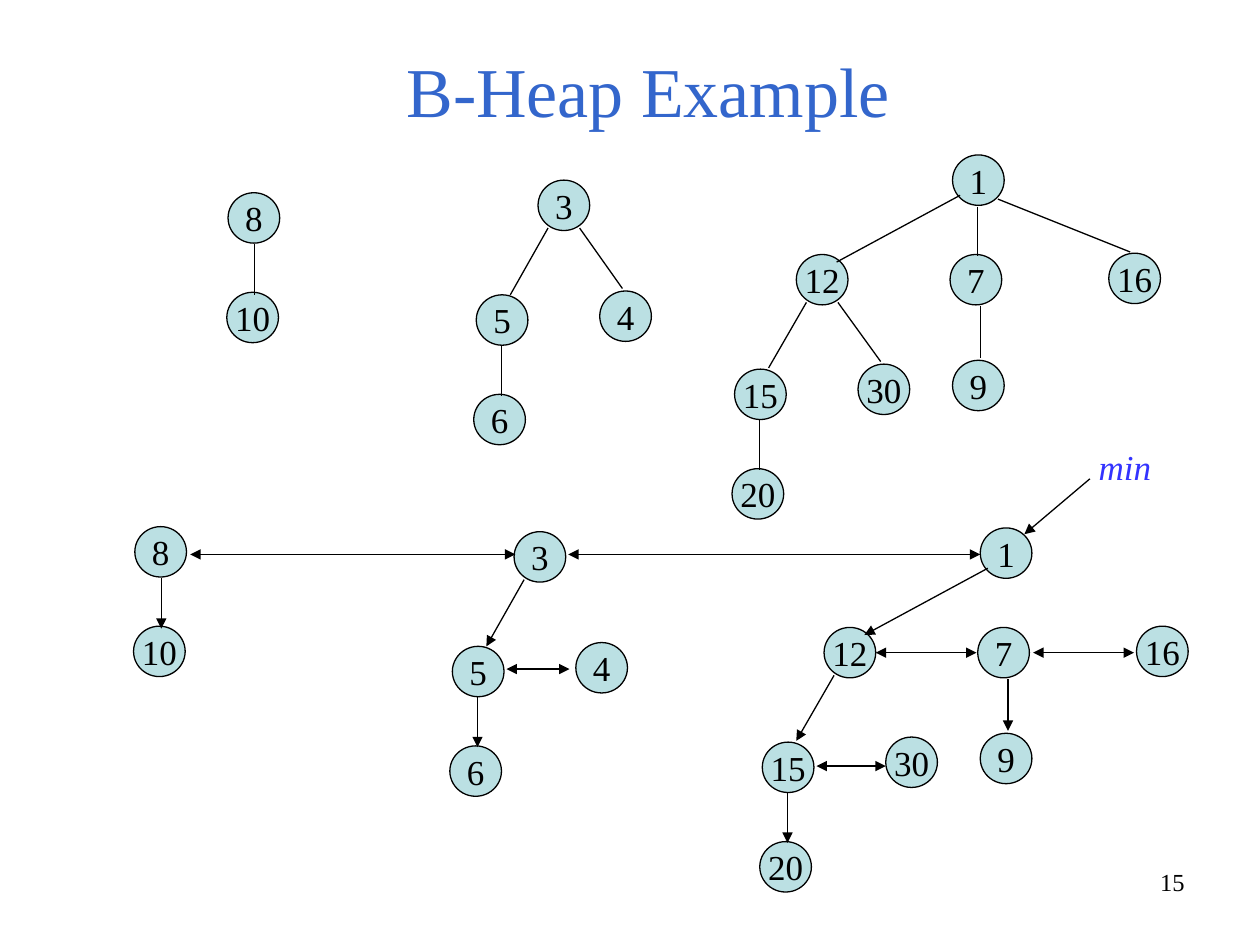
import pptx
import pptx.dml.color
import pptx.enum.shapes
import pptx.enum.text
import pptx.oxml
import pptx.oxml.ns
import pptx.util

Inches = pptx.util.Inches
Align = pptx.enum.text.PP_ALIGN
Anchor = pptx.enum.text.MSO_ANCHOR

FONT = "Times New Roman"
BLACK = "000000"
NODE_FILL = "BBE0E3"
NODE_WIDTH, NODE_HEIGHT = 0.41, 0.4

TREES = [
    {
        "linked_shift": (-0.74, 2.65),
        "nodes": [("8", 1.81, 1.53), ("10", 1.8, 2.32)],
        "first_child": [(2.02, 1.94, 2.02, 2.34)],
        "other_children": [],
    },
    {
        "linked_shift": (-0.19, 2.79),
        "nodes": [("3", 4.27, 1.43), ("5", 3.78, 2.34), ("6", 3.76, 3.13), ("4", 4.76, 2.31)],
        "first_child": [(3.98, 2.74, 3.98, 3.14), (4.35, 1.81, 4.05, 2.34)],
        "other_children": [(4.6, 1.81, 4.94, 2.29)],
    },
    {
        "linked_shift": (0.22, 2.96),
        "nodes": [
            ("12", 6.32, 2.02), ("15", 5.83, 2.93), ("20", 5.81, 3.72), ("30", 6.81, 2.89),
            ("1", 7.56, 1.23), ("7", 7.54, 2.02), ("9", 7.56, 2.86), ("16", 8.8, 2.01),
        ],
        "first_child": [
            (6.03, 3.33, 6.03, 3.73), (6.4, 2.4, 6.1, 2.92),
            (7.78, 2.43, 7.78, 2.84), (7.62, 1.55, 6.64, 2.08),
        ],
        "other_children": [
            (6.65, 2.4, 6.99, 2.87), (7.76, 1.64, 7.76, 2.03), (7.92, 1.58, 8.97, 2),
        ],
    },
]
SIBLING_LINKS = [
    (4.02, 5.31, 4.52, 5.31), (6.95, 5.18, 7.75, 5.18), (8.2, 5.18, 9, 5.18),
    (6.48, 6.08, 7.03, 6.08), (7.78, 4.4, 4.51, 4.4), (4.09, 4.4, 1.51, 4.4),
]
MIN_POINTER = (8.65, 3.8, 8.13, 4.24)


def color(value):
    return pptx.dml.color.RGBColor.from_string(value)


def write(frame, text, size, ink, align=Align.LEFT, italic=False):
    frame.text = text
    para = frame.paragraphs[0]
    para.alignment = align
    font = para.runs[0].font
    font.name = FONT
    font.size = pptx.util.Pt(size)
    font.color.rgb = color(ink)
    font.italic = italic


def add_label(page, text, area, size, ink, **style):
    box = page.shapes.add_textbox(*map(Inches, area))
    box.text_frame.word_wrap = True
    write(box.text_frame, text, size, ink, **style)


def add_node(page, text, left, top):
    node = page.shapes.add_shape(
        pptx.enum.shapes.MSO_SHAPE.OVAL,
        Inches(left), Inches(top), Inches(NODE_WIDTH), Inches(NODE_HEIGHT),
    )
    node.shadow.inherit = False
    node.fill.solid()
    node.fill.fore_color.rgb = color(NODE_FILL)
    node.line.color.rgb = color(BLACK)
    node.line.width = pptx.util.Pt(0.75)
    frame = node.text_frame
    frame.word_wrap = False
    frame.vertical_anchor = Anchor.MIDDLE
    write(frame, text, 20, BLACK, Align.CENTER)


def add_link(page, ends, arrows=()):
    link = page.shapes.add_connector(
        pptx.enum.shapes.MSO_CONNECTOR.STRAIGHT, *map(Inches, ends)
    )
    link.line.color.rgb = color(BLACK)
    link.line.width = pptx.util.Pt(0.75)
    outline = link.line._get_or_add_ln()
    for arrow in arrows:
        end = pptx.oxml.parse_xml(f'<a:{arrow} {pptx.oxml.ns.nsdecls("a")} type="triangle"/>')
        outline.append(end)
    effects = pptx.oxml.parse_xml(f'<a:effectLst {pptx.oxml.ns.nsdecls("a")}/>')
    link._element.spPr.append(effects)


def add_tree(page, tree, shift=(0, 0), arrows=()):
    right, down = shift
    for text, left, top in tree["nodes"]:
        add_node(page, text, left + right, top + down)
    for x1, y1, x2, y2 in tree["first_child"]:
        add_link(page, (x1 + right, y1 + down, x2 + right, y2 + down), arrows)


def main():
    deck = pptx.Presentation()
    deck.slide_width, deck.slide_height = Inches(10), Inches(7.5)
    page = deck.slides.add_slide(deck.slide_layouts.get_by_name("Title Only"))

    title = page.shapes.title
    title.left, title.top, title.width, title.height = map(Inches, (0.75, 0.35, 8.79, 0.74))
    title.text_frame.auto_size = pptx.enum.text.MSO_AUTO_SIZE.NONE
    title.text_frame.vertical_anchor = Anchor.BOTTOM
    write(title.text_frame, "B-Heap Example", 40, "3366CC", Align.CENTER)

    for tree in TREES:
        add_tree(page, tree)
        for ends in tree["other_children"]:
            add_link(page, ends)
    for tree in TREES:
        add_tree(page, tree, tree["linked_shift"], ["tailEnd"])
    for ends in SIBLING_LINKS:
        add_link(page, ends, ["headEnd", "tailEnd"])
    add_link(page, MIN_POINTER, ["tailEnd"])

    add_label(page, "min", (8.62, 3.49, 0.68, 0.44), 20, "3333FF", italic=True)
    add_label(page, "15", (7.17, 6.83, 2.33, 0.52), 14, BLACK, align=Align.RIGHT)
    deck.save("out.pptx")


if __name__ == "__main__":
    main()
